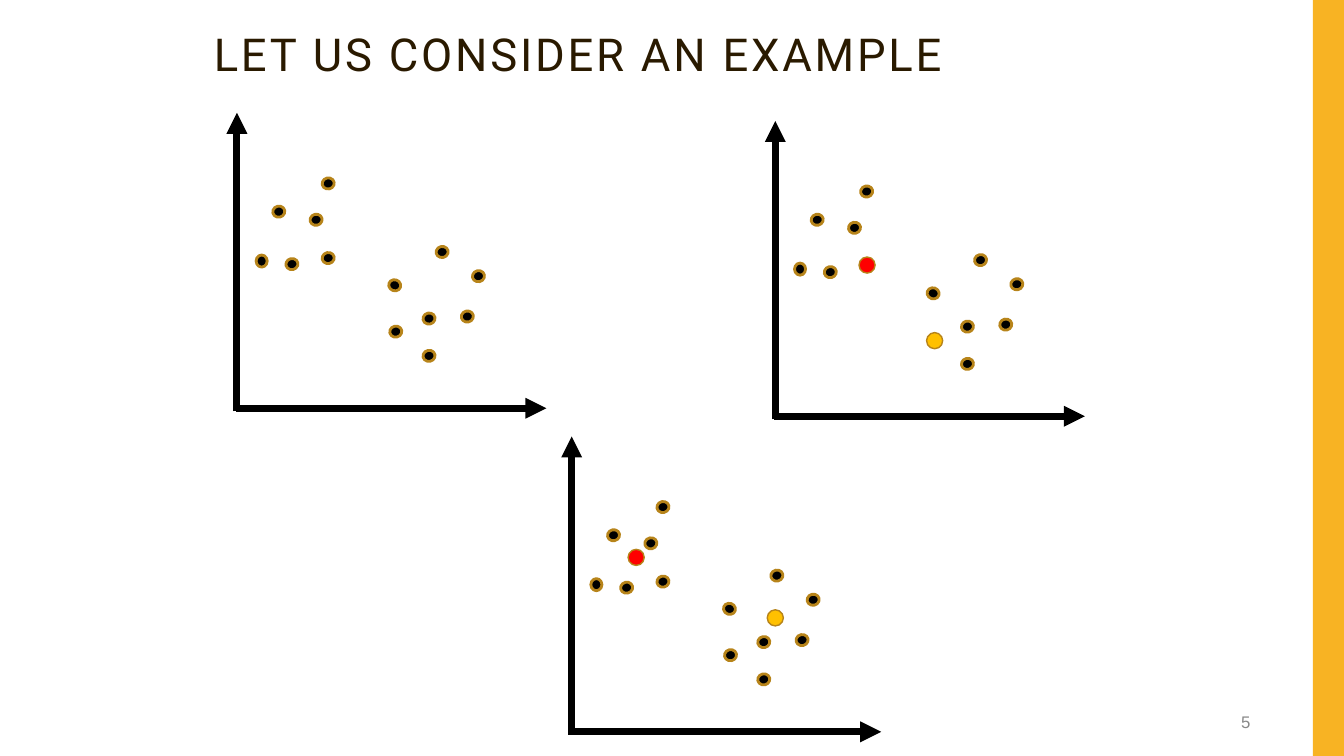
from lxml.etree import SubElement
from pptx import Presentation
from pptx.dml.color import RGBColor
from pptx.enum.shapes import MSO_CONNECTOR, MSO_SHAPE
from pptx.enum.text import MSO_ANCHOR, PP_ALIGN
from pptx.oxml.ns import qn
from pptx.util import Emu, Pt

PX = 9144  # 100 px to the inch

AMBER = RGBColor(0xF8, 0xB3, 0x23)
BROWN = RGBColor(0x2A, 0x1A, 0x00)
GRAY = RGBColor(0x89, 0x89, 0x89)
BLACK = RGBColor(0x00, 0x00, 0x00)
OCHRE = RGBColor(0xB7, 0x84, 0x1A)
RED = RGBColor(0xFF, 0x00, 0x00)
GOLD = RGBColor(0xFF, 0xC0, 0x00)

TILT = 77.4
# Left, top and rotation of each data point, from the tip of the vertical axis
POINTS = [
    (223, 196, TILT), (73, 100, TILT), (198, 132, TILT), (36, 92, TILT),
    (49, 144, TILT), (234, 156, TILT), (185, 235, TILT), (19, 141, 0),
    (151, 165, 108.5), (185, 198, TILT), (152, 211, TILT), (85, 138, TILT),
    (85, 64, TILT),
]
# Tip of the vertical axis, then the cluster centres relative to it
PLOTS = [
    (235, 112, []),
    (769, 120, [(83, 135, RED), (150, 210, GOLD)]),
    (567, 433, [(56, 112, RED), (194, 172, GOLD)]),
]


def px(*lengths):
    return [Emu(length * PX) for length in lengths]


def style_text(box, text, font_name, size, color, align, anchor):
    frame = box.text_frame
    frame.word_wrap = True
    frame.vertical_anchor = anchor
    frame.text = text
    para = frame.paragraphs[0]
    para.alignment = align
    font = para.runs[0].font
    font.name, font.size, font.color.rgb = font_name, Pt(size), color
    return para


def add_title(slide, left, top, width, height):
    title = slide.shapes.title
    title.left, title.top, title.width, title.height = px(left, top, width, height)
    para = style_text(title, "LET US CONSIDER AN EXAMPLE", "Roboto", 32.4, BROWN,
                      PP_ALIGN.LEFT, MSO_ANCHOR.TOP)
    para.line_spacing = 0.9
    para.runs[0].font._element.set("spc", "200")


def add_page_number(slide, left, top, width, height):
    box = slide.shapes.add_textbox(*px(left, top, width, height))
    style_text(box, "5", "Arial", 12, GRAY, PP_ALIGN.RIGHT, MSO_ANCHOR.MIDDLE)


def add_side_band(slide, left, top, width, height):
    band = slide.shapes.add_shape(MSO_SHAPE.RECTANGLE, *px(left, top, width, height))
    band.shadow.inherit = False
    band.fill.solid()
    band.fill.fore_color.rgb = AMBER
    band.line.fill.background()


def add_axis(shapes, *ends):
    axis = shapes.add_connector(MSO_CONNECTOR.STRAIGHT, *px(*ends))
    axis.line.color.rgb = BLACK
    axis.line.width = Pt(5)
    SubElement(axis.line._get_or_add_ln(), qn("a:tailEnd"), type="triangle")
    SubElement(axis._element.spPr, qn("a:effectLst"))


def add_dot(shapes, left, top, width, height, color, line_width, rotation=0):
    dot = shapes.add_shape(MSO_SHAPE.OVAL, *px(left, top, width, height))
    dot.shadow.inherit = False
    dot.rotation = rotation
    dot.fill.solid()
    dot.fill.fore_color.rgb = color
    dot.line.color.rgb = OCHRE
    dot.line.width = Pt(line_width)


def add_scatter(slide, left, top, centres):
    """Place axes and points as one group, with cluster centres over it."""
    shapes = slide.shapes.add_group_shape().shapes
    add_axis(shapes, left, top + 296, left, top)
    add_axis(shapes, left - 1, top + 293, left + 307, top + 293)
    for x, y, rotation in POINTS:
        add_dot(shapes, left + x, top + y, 11, 12, BLACK, 2, rotation)
    for x, y, color in centres:
        add_dot(slide.shapes, left + x, top + y, 16, 16, color, 1)


def main():
    deck = Presentation()
    deck.slide_width, deck.slide_height = px(1333, 750)
    slide = deck.slides.add_slide(deck.slide_layouts[5])
    add_side_band(slide, 1302, 0, 31, 750)
    add_title(slide, 202, 27, 896, 77)
    add_page_number(slide, 942, 697, 308, 38)
    for left, top, centres in PLOTS:
        add_scatter(slide, left, top, centres)
    deck.save("out.pptx")


if __name__ == "__main__":
    main()
